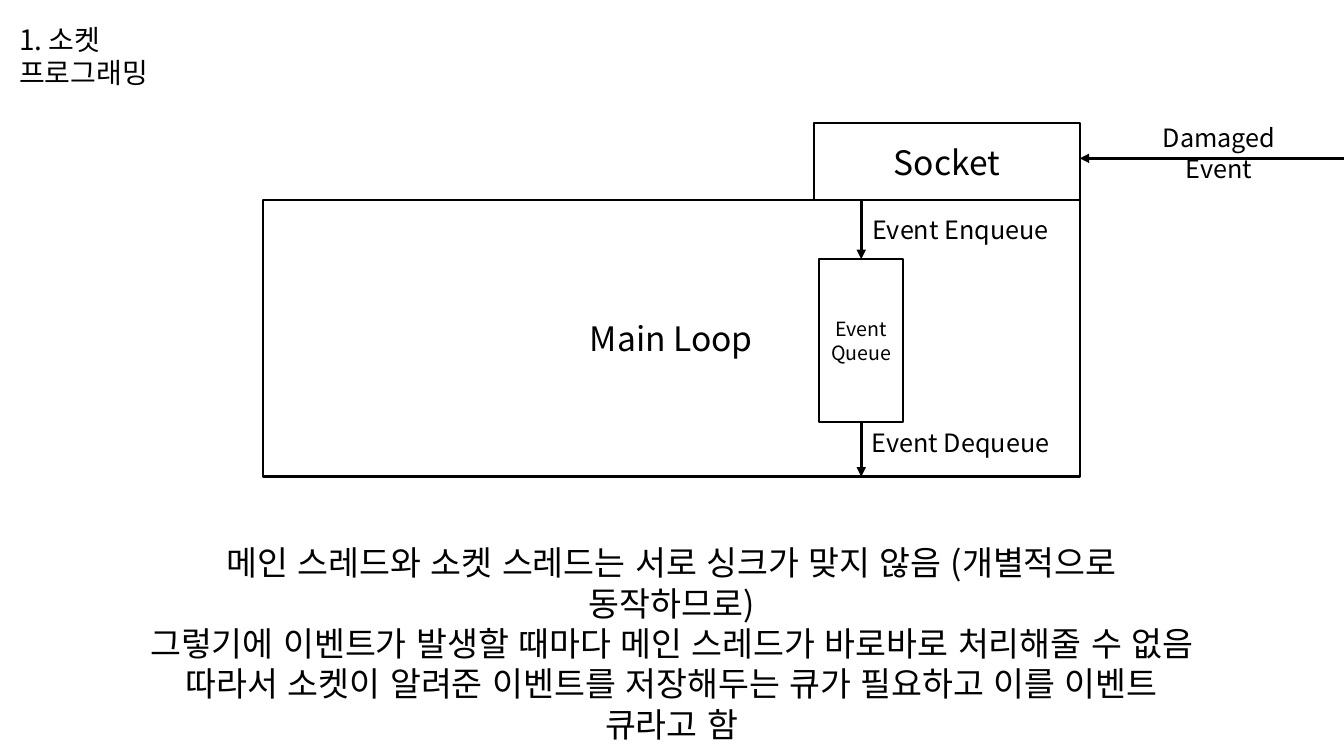
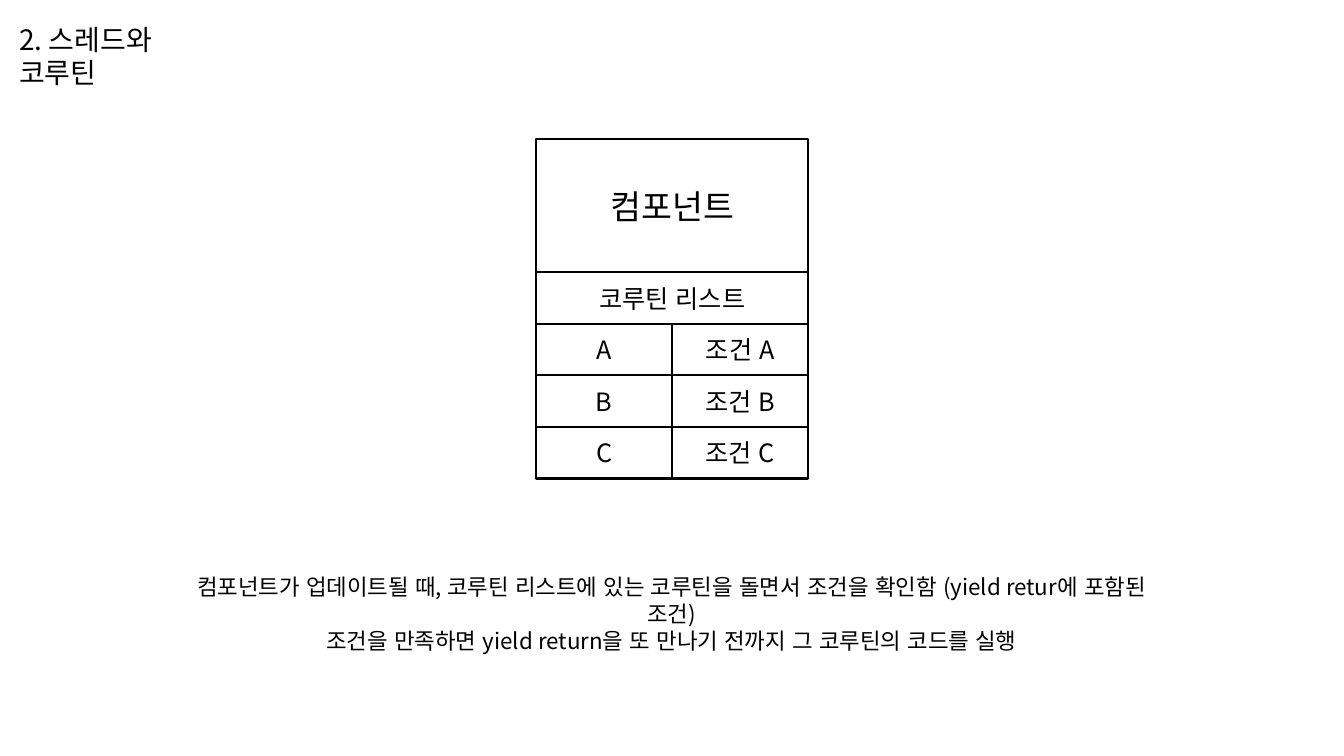
from dataclasses import dataclass

from lxml.etree import SubElement
from pptx import Presentation
from pptx.dml.color import RGBColor
from pptx.enum.lang import MSO_LANGUAGE_ID
from pptx.enum.shapes import MSO_CONNECTOR, MSO_SHAPE
from pptx.enum.text import MSO_ANCHOR, PP_ALIGN
from pptx.oxml.ns import qn
from pptx.slide import Slide
from pptx.text.text import TextFrame
from pptx.util import Cm, Pt

FONT = "Noto Sans CJK KR"
COLORS = {"ink": "000000", "paper": "FFFFFF"}
SLIDE_WIDTH, SLIDE_HEIGHT = 33.87, 19.05
LINE_PITCH = 1.2


@dataclass(frozen=True)
class Area:
    """A rectangle in centimetres."""
    left: float
    top: float
    width: float
    height: float

    @property
    def right(self) -> float:
        return self.left + self.width

    @property
    def bottom(self) -> float:
        return self.top + self.height

    @property
    def center(self) -> float:
        return self.left + self.width / 2

    def lengths(self) -> tuple[Cm, Cm, Cm, Cm]:
        return Cm(self.left), Cm(self.top), Cm(self.width), Cm(self.height)


@dataclass(frozen=True)
class Box:
    area: Area
    text: str
    size: int


TITLE_AREA = Area(0.23, 0.43, 5.8, 1.12)


def color(name: str) -> RGBColor:
    return RGBColor.from_string(COLORS[name])


def write_text(frame: TextFrame, text: str, *, size: int,
               align: PP_ALIGN = PP_ALIGN.CENTER,
               anchor: MSO_ANCHOR = MSO_ANCHOR.TOP) -> None:
    """Write one paragraph for each line of text."""
    frame.word_wrap = True
    frame.vertical_anchor = anchor
    for index, line in enumerate(text.split("\n")):
        paragraph = frame.add_paragraph() if index else frame.paragraphs[0]
        paragraph.alignment = align
        paragraph.line_spacing = Pt(size * LINE_PITCH)
        run = paragraph.add_run()
        run.text = line
        run.font.size = Pt(size)
        run.font.color.rgb = color("ink")
        run.font.language_id = MSO_LANGUAGE_ID.KOREAN
        run.font.name = FONT
        SubElement(run.font._element, qn("a:ea"), typeface=FONT)


def add_label(slide: Slide, box: Box, align: PP_ALIGN = PP_ALIGN.CENTER) -> None:
    shape = slide.shapes.add_textbox(*box.area.lengths())
    write_text(shape.text_frame, box.text, size=box.size, align=align)


def add_box(slide: Slide, box: Box) -> None:
    shape = slide.shapes.add_shape(MSO_SHAPE.RECTANGLE, *box.area.lengths())
    shape.shadow.inherit = False
    shape.fill.solid()
    shape.fill.fore_color.rgb = color("paper")
    shape.line.color.rgb = color("ink")
    shape.line.width = Pt(1.5)
    write_text(shape.text_frame, box.text, size=box.size, anchor=MSO_ANCHOR.MIDDLE)


def add_arrow(slide: Slide, start: tuple[float, float], end: tuple[float, float]) -> None:
    connector = slide.shapes.add_connector(
        MSO_CONNECTOR.STRAIGHT, *(Cm(value) for value in start + end))
    connector.line.color.rgb = color("ink")
    connector.line.width = Pt(2.25)
    SubElement(connector.line._get_or_add_ln(), qn("a:tailEnd"), type="triangle")
    SubElement(connector._element.spPr, qn("a:effectLst"))


def add_titled_slide(presentation: Presentation, title: str) -> Slide:
    slide = presentation.slides.add_slide(presentation.slide_layouts[6])
    add_label(slide, Box(TITLE_AREA, title, 20), PP_ALIGN.LEFT)
    return slide


def build_socket_slide(presentation: Presentation) -> None:
    slide = add_titled_slide(presentation, "1. 소켓 프로그래밍")
    main_loop = Area(6.63, 5.05, 20.58, 6.96)
    socket = Area(20.52, 3.1, 6.69, 1.95)
    queue = Area(20.65, 6.53, 2.11, 4.11)
    for box in (Box(main_loop, "Main Loop", 24),
                Box(socket, "Socket", 24),
                Box(queue, "Event\nQueue", 14)):
        add_box(slide, box)

    event_level = 3.99
    add_arrow(slide, (SLIDE_WIDTH, event_level), (socket.right, event_level))
    add_arrow(slide, (queue.center, socket.bottom), (queue.center, queue.top))
    add_arrow(slide, (queue.center, queue.bottom), (queue.center, main_loop.bottom))

    for label in (
        Box(Area(28.32, 2.97, 4.8, 1.02), "Damaged Event", 18),
        Box(Area(21.61, 5.28, 5.2, 1.02), "Event Enqueue", 18),
        Box(Area(21.61, queue.bottom, 5.2, 1.02), "Event Dequeue", 18),
        Box(Area(3.45, 13.54, 26.95, 3.33),
            "메인 스레드와 소켓 스레드는 서로 싱크가 맞지 않음 (개별적으로 동작하므로)\n"
            "그렇기에 이벤트가 발생할 때마다 메인 스레드가 바로바로 처리해줄 수 없음\n"
            "따라서 소켓이 알려준 이벤트를 저장해두는 큐가 필요하고 이를 이벤트 큐라고 함", 24),
    ):
        add_label(slide, label)


def build_coroutine_slide(presentation: Presentation) -> None:
    slide = add_titled_slide(presentation, "2. 스레드와 코루틴")
    component = Area(13.51, 3.51, 6.86, 3.35)
    row_height = 1.3
    coroutine_list = Area(component.left, component.bottom, component.width, row_height)
    add_box(slide, Box(component, "컴포넌트", 24))
    add_box(slide, Box(coroutine_list, "코루틴 리스트", 18))

    column_width = component.width / 2
    for row, name in enumerate("ABC"):
        for column, text in enumerate((name, f"조건 {name}")):
            cell = Area(component.left + column * column_width,
                        coroutine_list.bottom + row * row_height,
                        column_width, row_height)
            add_box(slide, Box(cell, text, 18))

    add_label(slide, Box(
        Area(4.24, 14.33, 25.37, 1.63),
        "컴포넌트가 업데이트될 때, 코루틴 리스트에 있는 코루틴을 돌면서 조건을 확인함 "
        "(yield retur에 포함된 조건)\n"
        "조건을 만족하면 yield return을 또 만나기 전까지 그 코루틴의 코드를 실행", 16))


def main() -> None:
    presentation = Presentation()
    presentation.slide_width = Cm(SLIDE_WIDTH)
    presentation.slide_height = Cm(SLIDE_HEIGHT)
    build_socket_slide(presentation)
    build_coroutine_slide(presentation)
    presentation.save("out.pptx")


if __name__ == "__main__":
    main()
